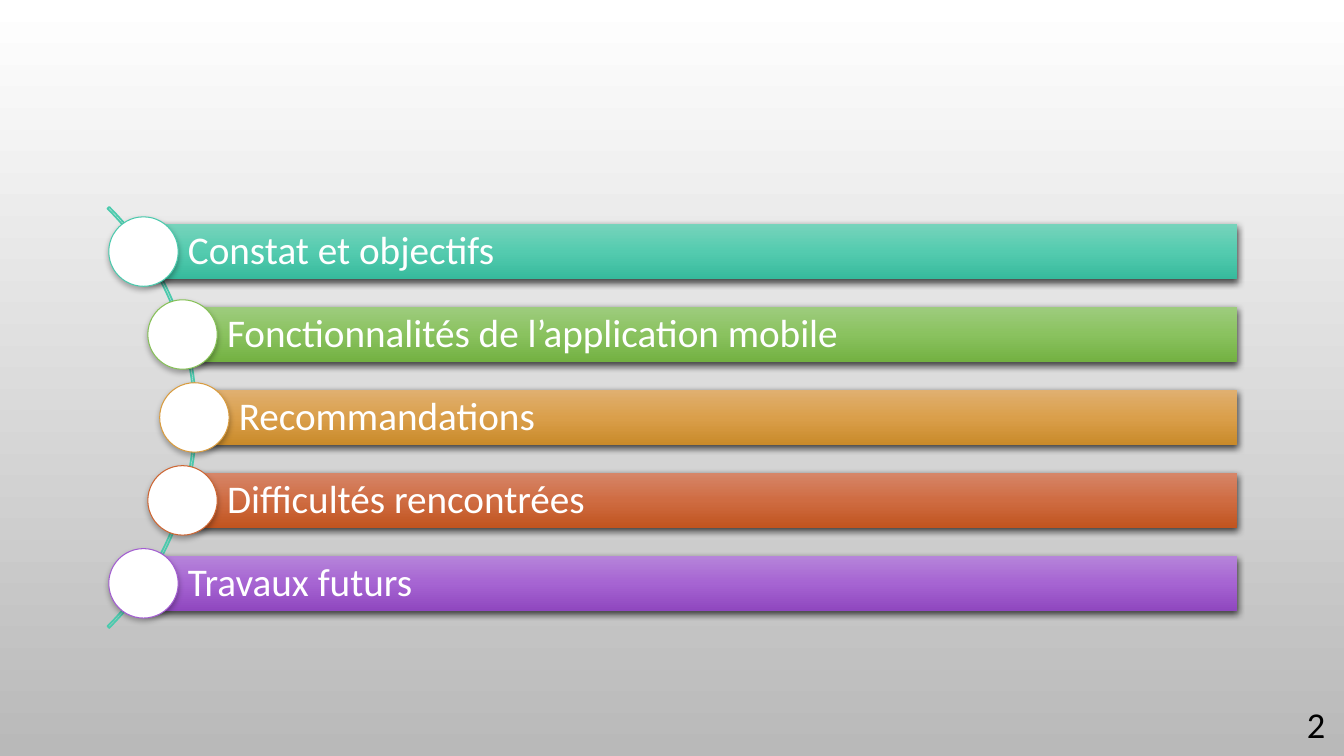
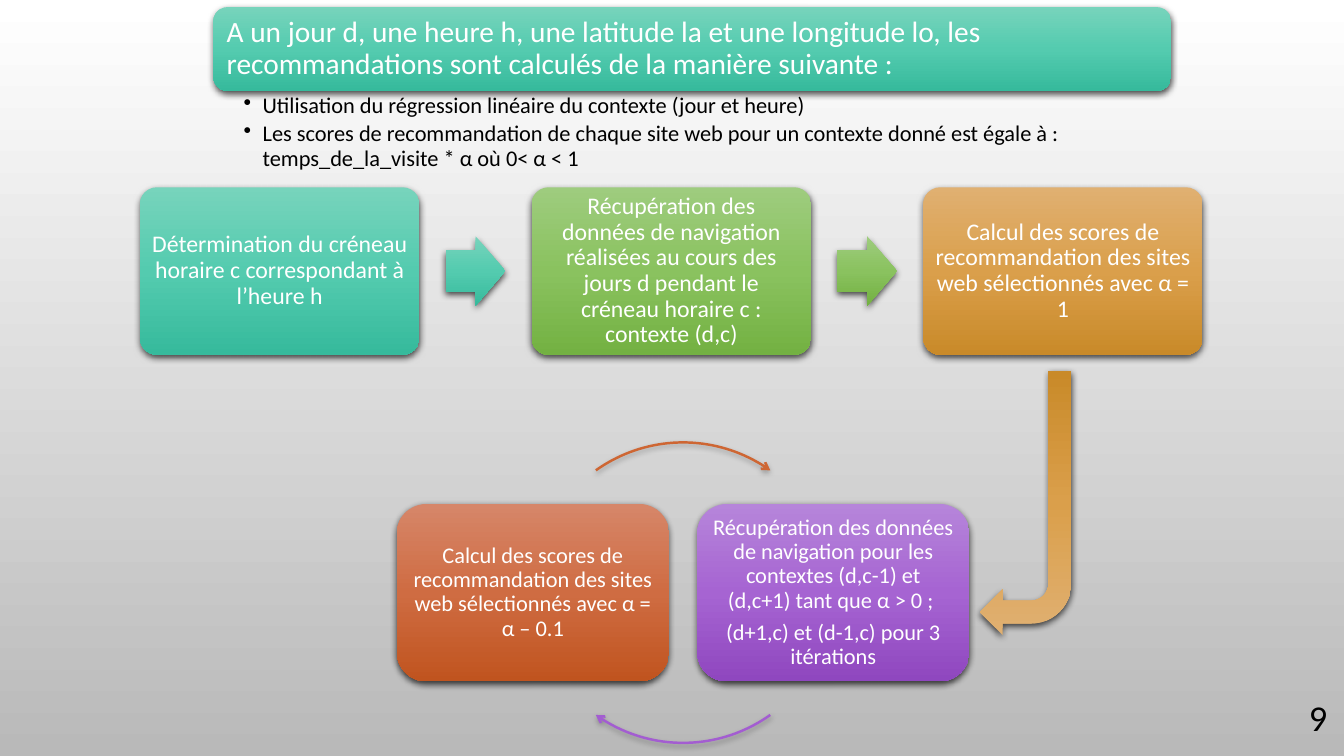
from copy import deepcopy
from math import sqrt

from lxml import etree
from pptx import Presentation
from pptx import util as u
from pptx.dml.color import RGBColor
from pptx.enum import shapes, text
from pptx.oxml import ns

FONT = "Calibri"
WHITE = RGBColor(0xFF, 0xFF, 0xFF)
BLACK = RGBColor(0x00, 0x00, 0x00)
GREY = RGBColor(0xB9, 0xB9, 0xB9)

# Accent lines, and the light, middle and dark stops of each gradient
TEAL_LINE = RGBColor(0x4B, 0xCA, 0xAD)
GREEN_LINE = RGBColor(0x86, 0xC1, 0x57)
AMBER_LINE = RGBColor(0xD9, 0x9C, 0x3F)
RUST_LINE = RGBColor(0xCE, 0x66, 0x33)
PURPLE_LINE = RGBColor(0xA3, 0x5D, 0xD1)
TEAL = [RGBColor(0x77, 0xD4, 0xBC), RGBColor(0x54, 0xCB, 0xAF), RGBColor(0x36, 0xBA, 0x9C)]
GREEN = [RGBColor(0x9E, 0xCC, 0x7E), RGBColor(0x8A, 0xC2, 0x5F), RGBColor(0x73, 0xB1, 0x42)]
AMBER = [RGBColor(0xE0, 0xB0, 0x71), RGBColor(0xDA, 0x9F, 0x4B), RGBColor(0xC9, 0x8A, 0x29)]
RUST = [RGBColor(0xD6, 0x86, 0x69), RGBColor(0xCF, 0x6C, 0x42), RGBColor(0xC0, 0x54, 0x1F)]
PURPLE = [RGBColor(0xB6, 0x85, 0xDA), RGBColor(0xA6, 0x64, 0xD2), RGBColor(0x8F, 0x47, 0xBF)]

STRONG_SHADOW = (69, 5)  # opacity in percent, blur in points
SOFT_SHADOW = (28, 4)
DEGREE = 0.6  # one degree in adjustment units


def add_child(parent, tag, **attributes):
    return etree.SubElement(parent, ns.qn(tag), {k: str(v) for k, v in attributes.items()})


def box(left, top, width, height):
    return [u.Cm(value) for value in (left, top, width, height)]


def set_shadow(shape, opacity, blur):
    shape.shadow.inherit = False
    effects = shape._element.spPr.find(ns.qn("a:effectLst"))
    shadow = add_child(effects, "a:outerShdw", blurRad=u.Pt(blur), dist=u.Pt(2),
                       dir=90 * 60000, algn="ctr", rotWithShape=0)
    color = add_child(shadow, "a:srgbClr", val=BLACK)
    add_child(color, "a:alpha", val=opacity * 1000)


def set_gradient(fill, colors):
    fill.gradient()
    fill.gradient_angle = 270
    for index, (stop, color) in enumerate(zip(fill.gradient_stops, colors)):
        stop.color.rgb = color
        stop.position = index / (len(colors) - 1)


def add_gradient_shape(slide, kind, area, colors, adjustments=()):
    shape = slide.shapes.add_shape(kind, *box(*area))
    shape.fill.gradient()
    stops = shape._element.spPr.find(".//" + ns.qn("a:gsLst"))
    stops.insert(1, deepcopy(stops[0]))
    set_gradient_stops(shape.fill, colors)
    shape.line.fill.background()
    set_shadow(shape, *STRONG_SHADOW)
    for index, value in enumerate(adjustments):
        shape.adjustments[index] = value
    return shape


def set_gradient_stops(fill, colors):
    fill.gradient_angle = 270
    for index, (stop, color) in enumerate(zip(fill.gradient_stops, colors)):
        stop.color.rgb = color
        stop.position = index / (len(colors) - 1)


def add_outline(slide, kind, area, color, width, adjustments):
    shape = slide.shapes.add_shape(kind, *box(*area))
    shape.fill.background()
    shape.line.color.rgb = color
    shape.line.width = u.Pt(width)
    shape.shadow.inherit = False
    for index, value in enumerate(adjustments):
        shape.adjustments[index] = value
    return shape


def write(shape, lines, size, color=WHITE, align=text.PP_ALIGN.LEFT,
          anchor=text.MSO_ANCHOR.MIDDLE, insets=(0.2, 0.2, 0.2, 0.2),
          after=0.35, spacing=0.9, bullet=False):
    frame = shape.text_frame
    frame.word_wrap = True
    frame.vertical_anchor = anchor
    (frame.margin_left, frame.margin_top,
     frame.margin_right, frame.margin_bottom) = box(*insets)
    for index, line in enumerate(lines):
        paragraph = frame.add_paragraph() if index else frame.paragraphs[0]
        paragraph.alignment = align
        paragraph.line_spacing = spacing
        paragraph.space_after = u.Pt(round(size * after, 1))
        if bullet:
            paragraph.level = 1
            properties = paragraph._p.get_or_add_pPr()
            properties.set("marL", str(u.Cm(0.48)))
            properties.set("indent", str(u.Cm(-0.48)))
            add_child(properties, "a:buChar", char="•")
        run = paragraph.add_run()
        run.text = line
        run.font.name = FONT
        run.font.size = u.Pt(size)
        run.font.color.rgb = color


def add_base_slide(presentation, number, number_left, number_top):
    slide = presentation.slides.add_slide(presentation.slide_layouts[6])
    fill = slide.background.fill
    fill.gradient()
    set_gradient_stops(fill, [WHITE, GREY])
    label = slide.shapes.add_textbox(*box(number_left, number_top, 2.13, 1.02))
    write(label, [number], 26, BLACK, text.PP_ALIGN.RIGHT,
          insets=(0.25, 0.13, 0.25, 0.13), after=0, spacing=1)
    return slide


def add_agenda(slide, left, top, width, height, items):
    """Bars whose left ends follow an arc, each with a round marker."""
    bar_height, marker, radius = 1.4, 1.75, 7.45
    pitch = (height - bar_height) / (len(items) - 1)
    center_x, center_y = left - 5.27, top + height / 2
    add_outline(slide, shapes.MSO_SHAPE.BLOCK_ARC,
                (center_x - 7.5, center_y - 7.5, 15, 15), TEAL_LINE, 1.25,
                (315 * DEGREE, 45 * DEGREE, 0.004))
    for index, (label, colors, line_color) in enumerate(items):
        bar_top = top + index * pitch
        middle = bar_top + bar_height / 2
        bar_left = center_x + sqrt(radius ** 2 - (middle - center_y) ** 2)
        bar = add_gradient_shape(slide, shapes.MSO_SHAPE.RECTANGLE,
                                 (bar_left, bar_top, left + width - bar_left, bar_height), colors)
        write(bar, [label], 28, insets=(1.12, 0.2, 0.2, 0.2))
        circle = slide.shapes.add_shape(
            shapes.MSO_SHAPE.OVAL,
            *box(bar_left - marker / 2, middle - marker / 2, marker, marker))
        circle.fill.solid()
        circle.fill.fore_color.rgb = WHITE
        circle.line.color.rgb = line_color
        circle.line.width = u.Pt(0.75)
        set_shadow(circle, *SOFT_SHADOW)


def add_intro(slide, left, top, width, height, heading, bullets):
    """Heading band with bullets under it."""
    band_height = height / 2
    band = add_gradient_shape(slide, shapes.MSO_SHAPE.ROUNDED_RECTANGLE,
                              (left, top, width, band_height), TEAL)
    write(band, [heading], 21, insets=(0.23, 0.23, 0.23, 0.23))
    notes = slide.shapes.add_textbox(*box(left, top + band_height, width, band_height))
    write(notes, bullets, 16, BLACK, anchor=text.MSO_ANCHOR.TOP,
          insets=(0.76, 0.08, 0.41, 0.08), after=0.2, bullet=True)


def add_process(slide, left, top, width, height, steps):
    """Boxes in a row with an arrow centred in each gap."""
    box_width, arrow_width, arrow_height = 7.04, 1.5, 1.75
    pitch = (width - box_width) / (len(steps) - 1)
    for index, (label, colors) in enumerate(steps):
        step_left = left + index * pitch
        step = add_gradient_shape(slide, shapes.MSO_SHAPE.ROUNDED_RECTANGLE,
                                  (step_left, top, box_width, height), colors, (0.1,))
        write(step, [label], 17, align=text.PP_ALIGN.CENTER, insets=(0.18,) * 4)
        if index < len(steps) - 1:
            arrow_left = step_left + (box_width + pitch - arrow_width) / 2
            arrow_top = top + (height - arrow_height) / 2
            add_gradient_shape(slide, shapes.MSO_SHAPE.RIGHT_ARROW,
                               (arrow_left, arrow_top, arrow_width, arrow_height),
                               colors, (0.6, 0.5))


def add_cycle(slide, left, top, width, height, steps):
    """Two boxes joined by arced arrows above and below."""
    box_width = 6.86
    pitch = width - box_width
    ring = (left + box_width / 2, top + (height - pitch) / 2, pitch, pitch)
    for index, (lines, colors, line_color, start) in enumerate(steps):
        step = add_gradient_shape(slide, shapes.MSO_SHAPE.ROUNDED_RECTANGLE,
                                  (left + index * pitch, top, box_width, height), colors)
        write(step, lines, 16, align=text.PP_ALIGN.CENTER, insets=(0.18,) * 4)
        arc = add_outline(slide, shapes.MSO_SHAPE.ARC, ring, line_color, 1.75,
                          (start * DEGREE, (start + 71) * DEGREE))
        add_child(arc.line._get_or_add_ln(), "a:tailEnd", type="arrow")
        set_shadow(arc, *SOFT_SHADOW)


def build_agenda_slide(presentation):
    slide = add_base_slide(presentation, "2", 31.52, 17.73)
    add_agenda(slide, 2.72, 5.64, 28.46, 9.76, [
        ("Constat et objectifs", TEAL, TEAL_LINE),
        ("Fonctionnalités de l’application mobile", GREEN, GREEN_LINE),
        ("Recommandations", AMBER, AMBER_LINE),
        ("Difficultés rencontrées", RUST, RUST_LINE),
        ("Travaux futurs", PURPLE, PURPLE_LINE),
    ])


def build_method_slide(presentation):
    slide = add_base_slide(presentation, "9", 31.57, 17.55)
    add_process(slide, 3.53, 4.72, 26.78, 4.22, [
        ("Détermination du créneau horaire c correspondant à l’heure h", TEAL),
        ("Récupération des données de navigation réalisées au cours des jours d "
         "pendant le créneau horaire c : contexte (d,c)", GREEN),
        ("Calcul des scores de recommandation des sites web sélectionnés avec α = 1", AMBER),
    ])
    add_intro(slide, 5.38, 0.18, 24.13, 4.22,
              "A un jour d, une heure h, une latitude la et une longitude lo, les "
              "recommandations sont calculés de la manière suivante :",
              ["Utilisation du régression linéaire du contexte (jour et heure)",
               "Les scores de recommandation de chaque site web pour un contexte donné "
               "est égale à : temps_de_la_visite * α où 0< α < 1"])
    add_cycle(slide, 10, 12.7, 14.43, 4.47, [
        (["Calcul des scores de recommandation des sites web sélectionnés avec α = α – 0.1"],
         RUST, RUST_LINE, 234.5),
        (["Récupération des données de navigation pour les contextes (d,c-1) et (d,c+1) "
          "tant que α > 0 ; ", "(d+1,c) et (d-1,c) pour 3 itérations"],
         PURPLE, PURPLE_LINE, 54.5),
    ])
    # Bent arrow from the last step down to the cycle
    turn = add_gradient_shape(slide, shapes.MSO_SHAPE.BENT_ARROW,
                              (24.69, 9.35, 2.31, 6.65), AMBER)
    turn.rotation = 180


def main():
    presentation = Presentation()
    presentation.slide_width = u.Cm(33.87)
    presentation.slide_height = u.Cm(19.05)
    build_agenda_slide(presentation)
    build_method_slide(presentation)
    presentation.save("out.pptx")


if __name__ == "__main__":
    main()
